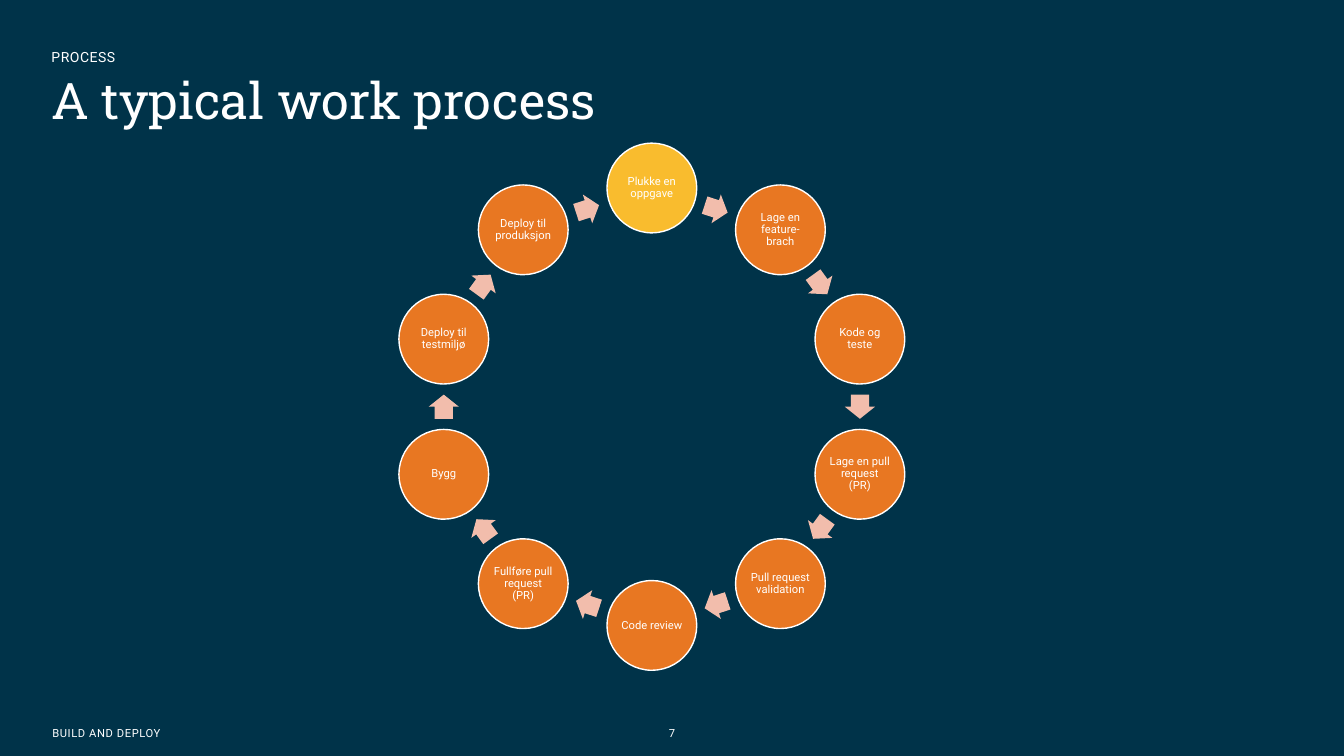
from dataclasses import dataclass
from math import cos, pi, sin

from pptx import Presentation
from pptx.dml.color import RGBColor
from pptx.enum.shapes import MSO_SHAPE
from pptx.enum.text import MSO_ANCHOR, PP_ALIGN
from pptx.shapes.autoshape import Shape
from pptx.slide import Slide
from pptx.text.text import TextFrame
from pptx.util import Inches, Length, Pt

NAVY = RGBColor(0x00, 0x33, 0x49)
YELLOW = RGBColor(0xF9, 0xBC, 0x2E)
ORANGE = RGBColor(0xE8, 0x77, 0x22)
PEACH = RGBColor(0xF2, 0xBD, 0xAC)
WHITE = RGBColor(0xFF, 0xFF, 0xFF)

CIRCLE = MSO_SHAPE.OVAL
ARROW = MSO_SHAPE.RIGHT_ARROW
LEFT, CENTER = PP_ALIGN.LEFT, PP_ALIGN.CENTER
TOP, MIDDLE, BOTTOM = MSO_ANCHOR.TOP, MSO_ANCHOR.MIDDLE, MSO_ANCHOR.BOTTOM

BODY_FONT, TITLE_FONT = "Roboto", "Roboto Slab"
SLIDE_WIDTH, SLIDE_HEIGHT = Inches(13.33), Inches(7.5)
BLANK_LAYOUT = 6


def across(percent: float) -> Length:
    return Length(round(SLIDE_WIDTH * percent / 100))


def down(percent: float) -> Length:
    return Length(round(SLIDE_HEIGHT * percent / 100))


RING_X, RING_Y = across(48.5), down(53.8)
RING_RADIUS = down(28.93)
STEP_DIAMETER = down(11.87)
ARROW_LENGTH, ARROW_BREADTH = down(3.2), down(4)

STEPS = [
    "Plukke en oppgave",
    "Lage en feature-brach",
    "Kode og teste",
    "Lage en pull request (PR)",
    "Pull request validation",
    "Code review",
    "Fullføre pull request (PR)",
    "Bygg",
    "Deploy til testmiljø",
    "Deploy til produksjon",
]


@dataclass(frozen=True)
class Label:
    """Text with its box in percent of the slide's width and height."""
    text: str
    left: float
    top: float
    width: float
    height: float
    size: float
    font: str = BODY_FONT
    align: PP_ALIGN = LEFT
    anchor: MSO_ANCHOR = MIDDLE
    line_spacing: float = 1.0
    space_before: float = 0
    tracking: float = 0


LABELS = [
    Label("PROCESS", 3.83, 4.93, 46.21, 3.73, 10, anchor=BOTTOM,
          line_spacing=1.1, space_before=12, tracking=0.4),
    Label("A typical work process", 3.83, 10, 67.37, 15.73, 36,
          font=TITLE_FONT, anchor=TOP, line_spacing=0.9),
    Label("BUILD AND DEPLOY", 3.9, 95.87, 29.56, 2.13, 8, tracking=0.4),
    Label("7", 47.04, 95.87, 5.93, 2.13, 8, align=CENTER),
]


def write(frame: TextFrame, text: str, size: float, font: str, align: PP_ALIGN,
          anchor: MSO_ANCHOR, line_spacing: float, inset: float) -> None:
    frame.word_wrap = True
    frame.vertical_anchor = anchor
    frame.margin_left = frame.margin_right = Inches(inset)
    frame.margin_top = frame.margin_bottom = Inches(inset)
    paragraph = frame.paragraphs[0]
    paragraph.text = text
    paragraph.alignment = align
    paragraph.line_spacing = line_spacing
    paragraph.font.size = Pt(size)
    paragraph.font.name = font
    paragraph.font.color.rgb = WHITE


def add_label(slide: Slide, label: Label) -> None:
    box = slide.shapes.add_textbox(across(label.left), down(label.top),
                                   across(label.width), down(label.height))
    write(box.text_frame, label.text, label.size, label.font, label.align,
          label.anchor, label.line_spacing, inset=0)
    paragraph = box.text_frame.paragraphs[0]
    paragraph.space_before = Pt(label.space_before)
    if label.tracking:
        properties = paragraph.runs[0]._r.get_or_add_rPr()
        properties.set("spc", str(round(label.tracking * 100)))


def add_on_ring(slide: Slide, preset: MSO_SHAPE, angle: float, radius: float,
                width: Length, height: Length, fill: RGBColor) -> Shape:
    """Centre a shape at an angle, in radians clockwise from the top."""
    left = RING_X + radius * sin(angle) - width / 2
    top = RING_Y - radius * cos(angle) - height / 2
    shape = slide.shapes.add_shape(preset, round(left), round(top), width, height)
    shape.shadow.inherit = False
    shape.fill.solid()
    shape.fill.fore_color.rgb = fill
    return shape


def add_step(slide: Slide, text: str, angle: float, fill: RGBColor) -> None:
    circle = add_on_ring(slide, CIRCLE, angle, RING_RADIUS,
                         STEP_DIAMETER, STEP_DIAMETER, fill)
    circle.line.color.rgb = WHITE
    circle.line.width = Pt(1)
    write(circle.text_frame, text, 8, BODY_FONT, CENTER, MIDDLE, 0.9, inset=0.01)


def add_arrow(slide: Slide, angle: float, half_turn: float) -> None:
    """Place an arrow midway between two neighbouring steps."""
    arrow = add_on_ring(slide, ARROW, angle, RING_RADIUS * cos(half_turn),
                        ARROW_LENGTH, ARROW_BREADTH, PEACH)
    arrow.line.fill.background()
    arrow.adjustments[0] = 0.6
    arrow.adjustments[1] = 0.5
    arrow.rotation = round(angle * 180 / pi)


def add_cycle(slide: Slide) -> None:
    turn = 2 * pi / len(STEPS)
    for index, text in enumerate(STEPS):
        add_step(slide, text, index * turn, ORANGE if index else YELLOW)
        add_arrow(slide, (index + 0.5) * turn, turn / 2)


def main() -> None:
    presentation = Presentation()
    presentation.slide_width = SLIDE_WIDTH
    presentation.slide_height = SLIDE_HEIGHT
    slide = presentation.slides.add_slide(presentation.slide_layouts[BLANK_LAYOUT])
    slide.background.fill.solid()
    slide.background.fill.fore_color.rgb = NAVY
    add_cycle(slide)
    for label in LABELS:
        add_label(slide, label)
    presentation.save("out.pptx")


if __name__ == "__main__":
    main()
